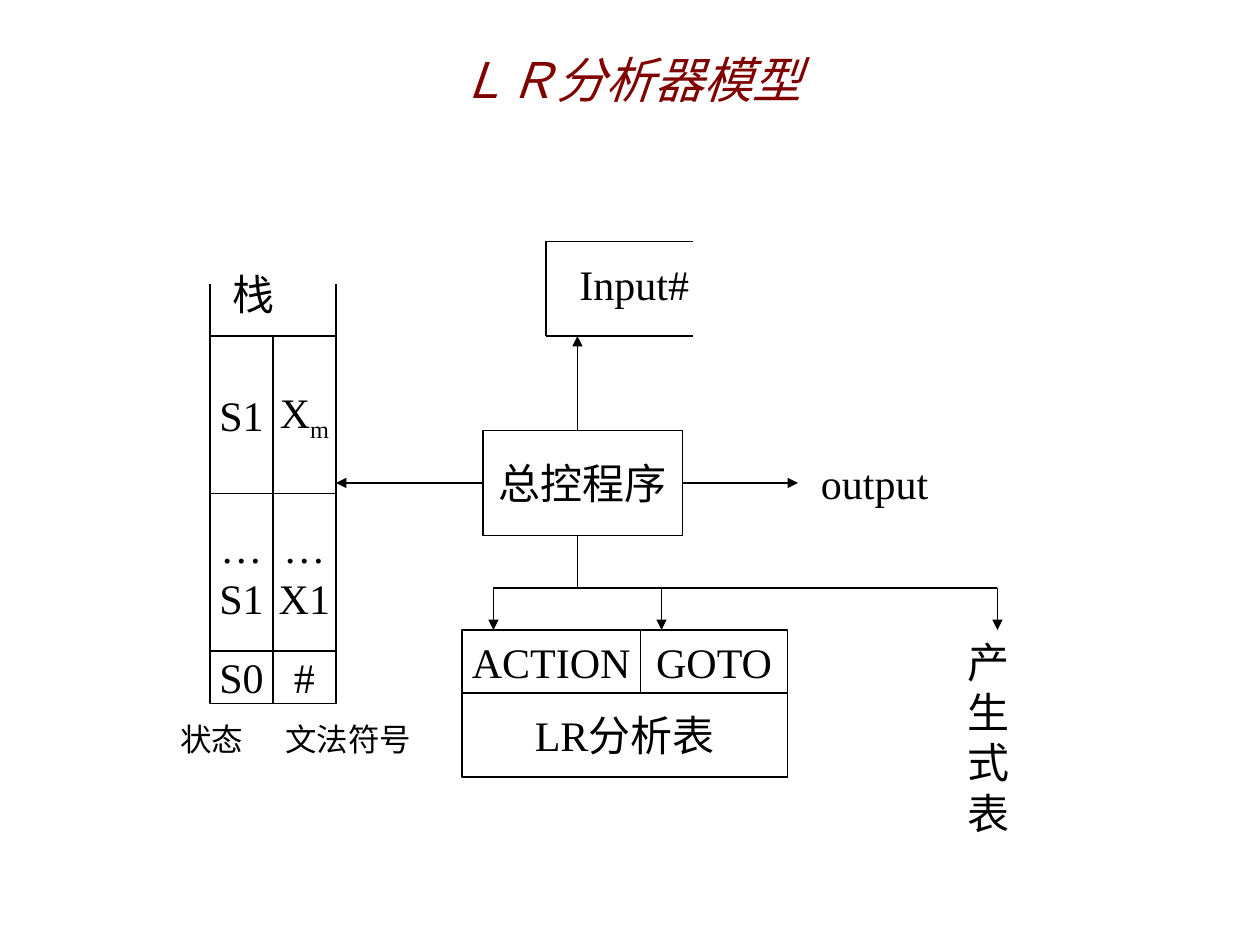
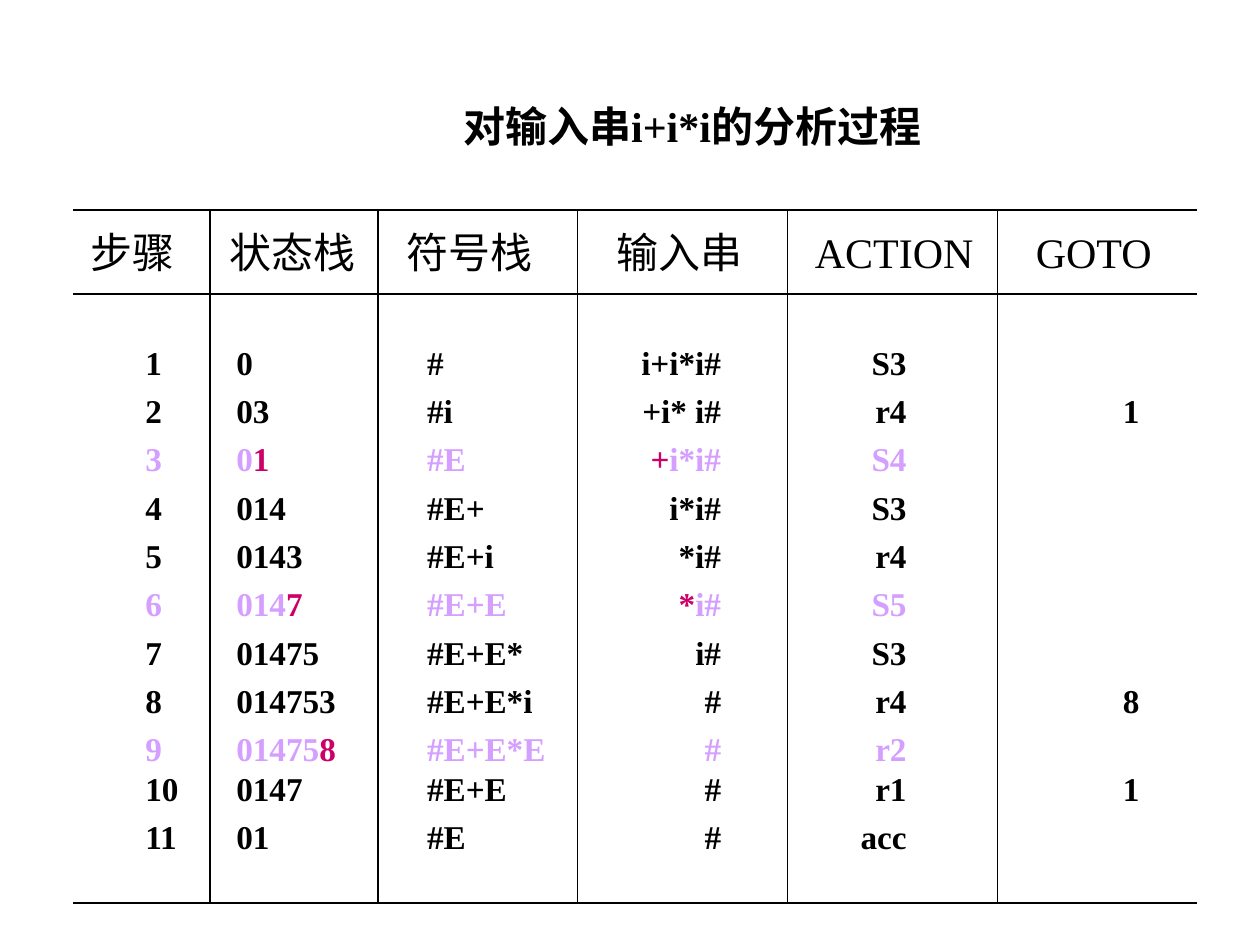
from lxml.etree import SubElement
from pptx import Presentation
from pptx.dml.color import RGBColor
from pptx.enum.shapes import MSO_CONNECTOR, MSO_SHAPE
from pptx.enum.text import MSO_ANCHOR, PP_ALIGN
from pptx.oxml.ns import qn
from pptx.util import Pt

BLACK, WHITE, MAROON = "000000", "FFFFFF", "800000"
LILAC, PINK = "D49FFF", "CC0066"
SERIF = "Times New Roman"
hue = RGBColor.from_string


def write(shape, text, size=24, align=PP_ALIGN.CENTER, anchor=MSO_ANCHOR.MIDDLE, wrap=False):
    """Fill a shape with black serif text, one paragraph per line."""
    frame = shape.text_frame
    frame.text = text
    frame.word_wrap = wrap
    frame.vertical_anchor = anchor
    for par in frame.paragraphs:
        par.alignment = align
        par.font.name = SERIF
        par.font.size = Pt(size)
        par.font.color.rgb = hue(BLACK)
    return frame.paragraphs[0]


def wire(slide, x1, y1, x2, y2, arrow=False):
    """Draw a thin black line, with an arrowhead at its end if asked."""
    line = slide.shapes.add_connector(
        MSO_CONNECTOR.STRAIGHT, Pt(x1), Pt(y1), Pt(x2), Pt(y2))
    line.line.color.rgb = hue(BLACK)
    line.line.width = Pt(0.75)
    if arrow:
        SubElement(line.get_or_add_ln(), qn("a:tailEnd"), type="triangle")
    SubElement(line._element.spPr, qn("a:effectLst"))
    return line


deck = Presentation()
deck.slide_width, deck.slide_height = Pt(720), Pt(540)
layout = deck.slide_layouts[5]

# Slide 1: model of the parser
model = deck.slides.add_slide(layout)
title = model.shapes.title
title.left, title.top, title.width, title.height = Pt(54), Pt(0), Pt(612), Pt(90)
head = write(title, "ＬＲ分析器模型", 28, wrap=True)
head.font.name = "Arial"
head.font.italic = True
head.font.color.rgb = hue(MAROON)

boxes = [
    ("总控程序", 276, 246, 114, 60),
    ("ACTION", 264, 360, 102, 36),
    ("GOTO", 366, 360, 84, 36),
    ("LR分析表", 264, 396, 186, 48),
]
stack = [(192, 90, "S1", "X"), (282, 90, "…\nS1", "…\nX1"), (372, 30, "S0", "#")]
for top, high, state, sign in stack:
    boxes += [(state, 120, top, 36, high), (sign, 156, top, 36, high)]

made = {}
for text, x, y, wide, high in boxes:
    box = model.shapes.add_shape(MSO_SHAPE.RECTANGLE, Pt(x), Pt(y), Pt(wide), Pt(high))
    box.shadow.inherit = False
    box.fill.solid()
    box.fill.fore_color.rgb = hue(WHITE)
    box.line.color.rgb = hue(BLACK)
    box.line.width = Pt(0.75)
    made[text] = box
    par = write(box, text)
    if text == "X":
        sub = par.add_run()
        sub.text = "m"
        sub.font._element.set("baseline", "-25000")

labels = [
    ("output", 462, 258, 84, 36, 24),
    ("Input#", 324, 144, 84, 36, 24),
    ("栈", 126, 150, 54, 36, 24),
    ("状态", 96, 408, 72, 29, 18),
    ("文法符号", 156, 408, 108, 29, 18),
    ("产生式表", 546, 360, 48, 122, 24),
]
for text, x, y, wide, high, size in labels:
    made[text] = model.shapes.add_textbox(Pt(x), Pt(y), Pt(wide), Pt(high))
    write(made[text], text, size, PP_ALIGN.LEFT, MSO_ANCHOR.TOP, True)

for ends in [
    (312, 192, 396, 192), (312, 138, 396, 138), (312, 138, 312, 192),  # input tape
    (120, 192, 120, 162), (192, 192, 192, 162),                        # open stack top
    (330, 306, 330, 336), (282, 336, 570, 336),                        # branch to tables
]:
    wire(model, *ends)
for ends in [(330, 246, 330, 192), (282, 336, 282, 360), (378, 336, 378, 360)]:
    wire(model, *ends, arrow=True)
core = made["总控程序"]
wire(model, 390, 276, 456, 276, True).begin_connect(core, 3)
wire(model, 276, 276, 192, 276, True).begin_connect(core, 1)
wire(model, 570, 336, 570, 360, True).end_connect(made["产生式表"], 0)

# Slide 2: trace of the parse
trace = deck.slides.add_slide(layout)
title = trace.shapes.title
title.left, title.top, title.width, title.height = Pt(180), Pt(54), Pt(431), Pt(36)
write(title, "对输入串i+i*i的分析过程").font.bold = True

for y in (120, 168, 516):
    wire(trace, 42, y, 684, y)
for x in (120, 216, 330, 450, 570):
    wire(trace, x, 120, x, 516)

heads = [("步骤", 41, 70), ("状态栈", 120, 94), ("符号栈", 221.5, 94),
         ("输入串", 341.5, 94), ("ACTION", 454.5, 113), ("GOTO", 580.5, 89)]
for text, x, wide in heads:
    write(trace.shapes.add_textbox(Pt(x), Pt(126), Pt(wide), Pt(36)), text)

# Tildes enclose the characters shown in pink
steps = [
    ("0", "#", "i+i*i#", "S3", ""),
    ("03", "#i", "+i* i#", "r4", "1"),
    ("0~1~", "#E", "~+~i*i#", "S4", ""),
    ("014", "#E+", "i*i#", "S3", ""),
    ("0143", "#E+i", "*i#", "r4", ""),
    ("014~7~", "#E+E", "~*~i#", "S5", ""),
    ("01475", "#E+E*", "i#", "S3", ""),
    ("014753", "#E+E*i", "#", "r4", "8"),
    ("01475~8~", "#E+E*E", "#", "r2", ""),
    ("0147", "#E+E", "#", "r1", "1"),
    ("01", "#E", "#", "acc", ""),
]
stops = [(28, "l"), (80, "l"), (189, "l"), (357, "r"), (463, "r"), (596, "r")]
body = trace.shapes.add_textbox(Pt(48), Pt(192), Pt(642), Pt(300)).text_frame
body.word_wrap = True
for num, cells in enumerate(steps, 1):
    par = body.paragraphs[0] if num == 1 else body.add_paragraph()
    if num > 1:
        par.space_before = Pt(0 if num == 10 else 4.8)
    tabs = SubElement(par._p.get_or_add_pPr(), qn("a:tabLst"))
    for place, side in stops:
        SubElement(tabs, qn("a:tab"), pos=str(Pt(place)), algn=side)
    par.font.name = SERIF
    par.font.size = Pt(19)
    par.font.bold = True
    base = LILAC if num in (3, 6, 9) else BLACK
    row = "\t" + "\t".join((str(num),) + cells).rstrip()
    for part, text in enumerate(row.split("~")):
        if text:
            run = par.add_run()
            run.text = text
            run.font.color.rgb = hue(PINK if part % 2 else base)

deck.save("out.pptx")
